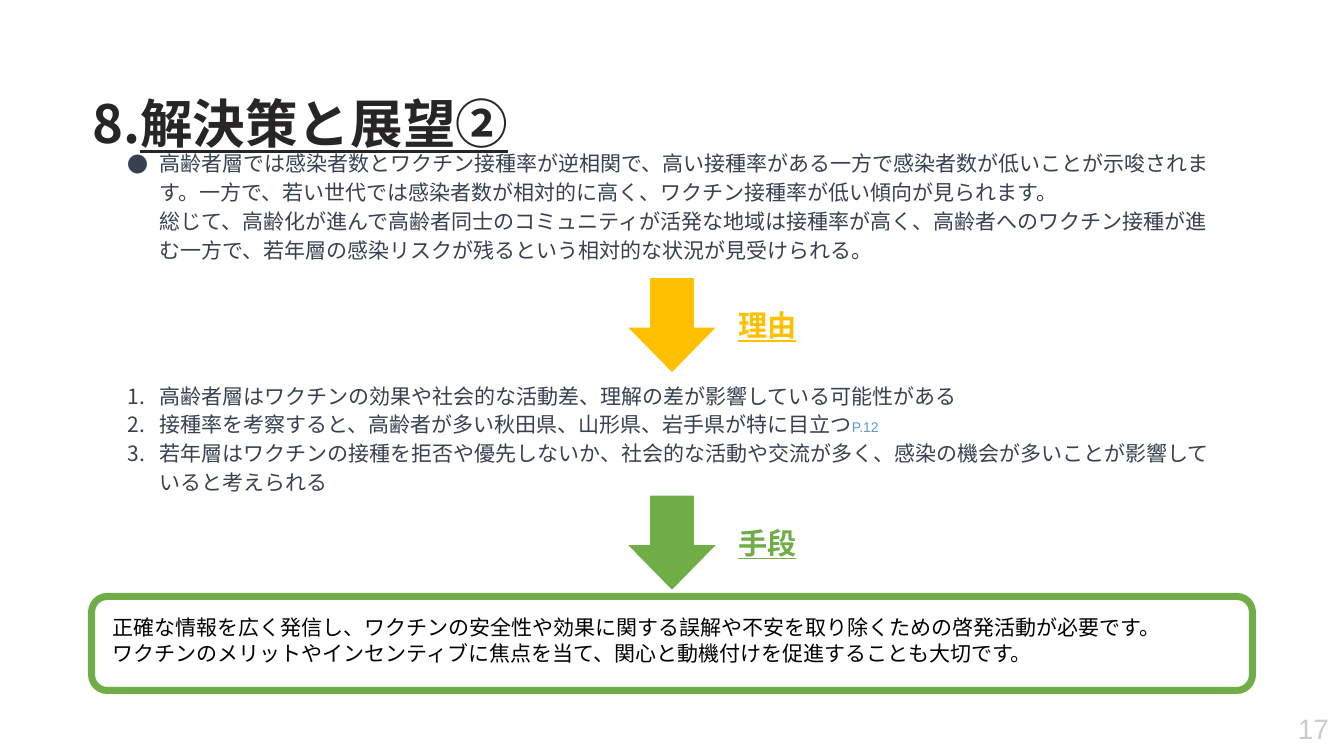
from pptx import Presentation
from pptx.dml.color import RGBColor
from pptx.enum.shapes import MSO_SHAPE
from pptx.enum.text import MSO_ANCHOR, MSO_AUTO_SIZE, PP_ALIGN
from pptx.oxml.ns import qn
from pptx.util import Inches, Pt
from lxml.etree import SubElement

W, H = 16, 9
LATIN, CJK = "Arial", "Noto Sans CJK JP"
DARK, SLATE, GREEN, AMBER = "272525", "374151", "70AD47", "FFC000"

TITLE = "解決策と展望②"
FINDINGS = [
    "高齢者層では感染者数とワクチン接種率が逆相関で、高い接種率がある一方で感染者数が低いことが示唆されます。"
    "一方で、若い世代では感染者数が相対的に高く、ワクチン接種率が低い傾向が見られます。",
    "総じて、高齢化が進んで高齢者同士のコミュニティが活発な地域は接種率が高く、"
    "高齢者へのワクチン接種が進む一方で、若年層の感染リスクが残るという相対的な状況が見受けられる。",
]
REASONS = [
    "高齢者層はワクチンの効果や社会的な活動差、理解の差が影響している可能性がある",
    "接種率を考察すると、高齢者が多い秋田県、山形県、岩手県が特に目立つ",
    "若年層はワクチンの接種を拒否や優先しないか、社会的な活動や交流が多く、"
    "感染の機会が多いことが影響していると考えられる",
]
PAGE_REF = "P.12"
MEASURES = [
    "正確な情報を広く発信し、ワクチンの安全性や効果に関する誤解や不安を取り除くための啓発活動が必要です。",
    "ワクチンのメリットやインセンティブに焦点を当て、関心と動機付けを促進することも大切です。",
]
STEPS = [("理由", AMBER, 3.31), ("手段", GREEN, 5.9)]  # label, colour, top
LIST_W, ARROW_W, FRAME_W = 13.4, 1.04, 13.82


def color(value):
    return RGBColor.from_string(value)


def style(r, size, rgb, strong=False):
    f = r.font
    f.size, f.name, f.color.rgb = Pt(size), LATIN, color(rgb)
    f.bold = f.underline = strong
    SubElement(r._r.get_or_add_rPr(), qn("a:ea"), typeface=CJK)


def fill_text(sp, box, lines, size, rgb, strong=False, anchor=MSO_ANCHOR.TOP):
    sp.left, sp.top, sp.width, sp.height = [Inches(v) for v in box]
    tf = sp.text_frame
    tf.text = "\n".join(lines)
    tf.word_wrap, tf.auto_size = True, MSO_AUTO_SIZE.NONE
    tf.vertical_anchor = anchor
    tf.margin_left = tf.margin_right = tf.margin_top = tf.margin_bottom = Inches(0.1)
    for p in tf.paragraphs:
        p.alignment = PP_ALIGN.LEFT
        style(p.runs[0], size, rgb, strong)
    return tf.paragraphs


def add_text(s, *args, **kwargs):
    return fill_text(s.shapes.add_textbox(0, 0, 0, 0), *args, **kwargs)


def set_list(p, rgb, spacing, left=0.5, hang=-0.38, mark=None, start=None):
    p.line_spacing, p.space_before = spacing, Pt(0)
    pPr = p._p.get_or_add_pPr()
    pPr.set("marL", str(Inches(left)))
    pPr.set("indent", str(Inches(hang)))
    if not (mark or start):
        SubElement(pPr, qn("a:buNone"))
        return
    SubElement(SubElement(pPr, qn("a:buClr")), qn("a:srgbClr"), val=rgb)
    SubElement(pPr, qn("a:buFont"), typeface=CJK)
    if mark:
        SubElement(pPr, qn("a:buChar"), char=mark)
    else:
        SubElement(pPr, qn("a:buAutoNum"), type="arabicPeriod", startAt=str(start))


def add_shape(s, kind, *box):
    sp = s.shapes.add_shape(kind, *[Inches(v) for v in box])
    sp.shadow.inherit = False
    return sp


def main():
    prs = Presentation()
    prs.slide_width, prs.slide_height = Inches(W), Inches(H)
    s = prs.slides.add_slide(prs.slide_layouts[3])
    title, findings, reasons = list(s.placeholders)[:3]

    # Title
    p = fill_text(title, (1, 0.53, 5.23, 0.96), [TITLE], 45, DARK, True)[0]
    set_list(p, DARK, 1.6, 0.38, -0.6, start=8)

    # Findings and numbered reasons
    left = (W - LIST_W) / 2
    first, second = fill_text(findings, (left, 1.65, LIST_W, 1.55), FINDINGS, 18, SLATE)
    set_list(first, SLATE, 1.15, mark="●")
    set_list(second, SLATE, 1.15, hang=0)
    items = fill_text(reasons, (left, 4.43, LIST_W, 1.55), REASONS, 18, SLATE,
                      anchor=MSO_ANCHOR.MIDDLE)
    for p in items:
        set_list(p, SLATE, 1.15, start=1)
    ref = items[1].add_run()
    ref.text = PAGE_REF
    style(ref, 12, "5B9BD5")

    # Arrows with labels
    for label, rgb, top in STEPS:
        arrow = add_shape(s, MSO_SHAPE.DOWN_ARROW, (W - ARROW_W) / 2, top, ARROW_W, 1.12)
        arrow.adjustments[1] = 0.51
        arrow.fill.solid()
        arrow.fill.fore_color.rgb = color(rgb)
        arrow.line.fill.background()
        add_text(s, (8.69, top + 0.25, 1.2, 0.62), [label], 25, rgb, True)

    # Framed measures
    frame = add_shape(s, MSO_SHAPE.FLOWCHART_ALTERNATE_PROCESS,
                      (W - FRAME_W) / 2, 7.1, FRAME_W, 1.12)
    frame.fill.background()
    frame.line.color.rgb, frame.line.width = color(GREEN), Pt(6)
    add_text(s, (1.24, 7.22, 13.53, 0.81), MEASURES, 18, "000000")

    # Page number
    p = add_text(s, (15.26, 8.37, 0.75, 0.61), ["17"], 24, "CCCCCC")[0]
    p.alignment = PP_ALIGN.CENTER

    prs.save("out.pptx")


if __name__ == "__main__":
    main()
